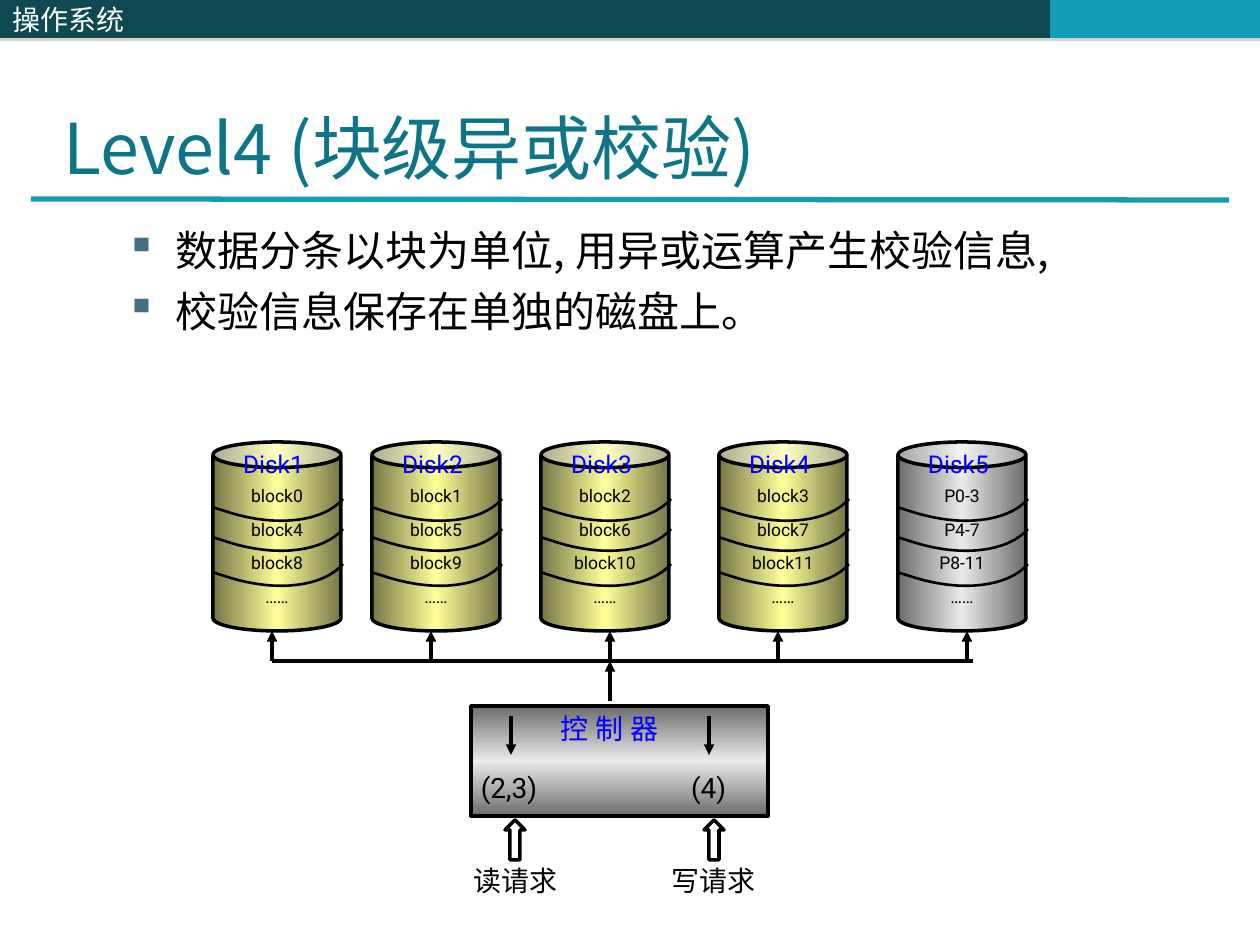
from copy import deepcopy
from dataclasses import dataclass

from lxml.etree import SubElement
from pptx import Presentation
from pptx.dml.color import RGBColor
from pptx.enum.shapes import MSO_CONNECTOR as Connector, MSO_SHAPE as Shape
from pptx.enum.text import MSO_ANCHOR as Anchor, MSO_AUTO_SIZE as AutoSize, PP_ALIGN as Align
from pptx.oxml.ns import qn
from pptx.util import Emu, Pt

EMU_PER_PX = 914400 / 126


@dataclass(frozen=True)
class Theme:
    cjk: str = "Noto Sans CJK SC"
    latin: str = "Roboto"
    dark: str = "0E4851"
    teal: str = "139CB7"
    title: str = "0E7589"
    bullet: str = "437085"
    label: str = "0000FF"
    black: str = "000000"
    white: str = "FFFFFF"
    yellow: tuple[str, ...] = ("767647", "FFFF99", "767647")
    grey: tuple[str, ...] = ("6C6C6C", "EAEAEA", "6C6C6C")
    title_size: int = 40
    body_size: int = 24
    text_size: int = 16
    disk_size: int = 14
    block_size: int = 10


@dataclass(frozen=True)
class Box:
    left: int
    top: int
    width: int
    height: int


@dataclass(frozen=True)
class Disk:
    name: str
    left: int
    arrow_x: int
    blocks: tuple[str, ...]
    colors: tuple[str, ...]


@dataclass(frozen=True)
class Request:
    label: str
    blocks: str
    text_left: int
    arrow_left: int
    inner_x: int
    align: Align


THEME = Theme()
DISK_TOP, DISK_WIDTH, DISK_HEIGHT, BUS_Y = 442, 128, 189, 661
BAND_OFFSETS = (0, 30, 65)
BAND_CURVE = ((130, 57), (110, 80), (64, 85), (18, 71))
BAND_END = (-1, 65)
CURVE_STEPS = 16
DISKS = (
    Disk("Disk1", 213, 272, ("block0", "block4", "block8"), THEME.yellow),
    Disk("Disk2", 372, 431, ("block1", "block5", "block9"), THEME.yellow),
    Disk("Disk3", 541, 610, ("block2", "block6", "block10"), THEME.yellow),
    Disk("Disk4", 719, 778, ("block3", "block7", "block11"), THEME.yellow),
    Disk("Disk5", 898, 967, ("P0-3", "P4-7", "P8-11"), THEME.grey),
)
REQUESTS = (
    Request("读请求", "(2,3)", 471, 505, 511, Align.LEFT),
    Request("写请求", "(4)", 669, 704, 709, Align.CENTER),
)


def px(value: float) -> Emu:
    return Emu(round(value * EMU_PER_PX))


def place(box: Box) -> tuple[Emu, ...]:
    return px(box.left), px(box.top), px(box.width), px(box.height)


def write(frame, text: str, *, size: int, color: str = THEME.black, font: str = THEME.latin,
          align: Align = Align.LEFT, anchor: Anchor = Anchor.TOP, margins=(0, 0, 0, 0),
          wrap: bool = True, spacing=None, gap: int = 0, bullet: str = "") -> None:
    frame.auto_size = AutoSize.NONE
    frame.word_wrap = wrap
    frame.vertical_anchor = anchor
    frame.margin_left, frame.margin_top, frame.margin_right, frame.margin_bottom = map(px, margins)
    for index, line in enumerate(text.split("\n")):
        para = frame.add_paragraph() if index else frame.paragraphs[0]
        if bullet:
            add_bullet(para, bullet)
        para.alignment = align
        para.line_spacing = spacing
        para.space_before = Pt(gap if index else 0)
        span = para.add_run()
        span.text = line
        span.font.size = Pt(size)
        span.font.name = font
        span.font.color.rgb = RGBColor.from_string(color)
        SubElement(span.font._element, qn("a:ea"), typeface=font)


def add_bullet(para, mark: str) -> None:
    properties = para._p.get_or_add_pPr()
    properties.set("marL", str(px(50)))
    properties.set("indent", str(px(-50)))
    color = SubElement(properties, qn("a:buClr"))
    SubElement(color, qn("a:srgbClr"), val=THEME.bullet)
    SubElement(properties, qn("a:buChar"), char=mark)


def add_label(page, box: Box, text: str, **style) -> None:
    write(page.shapes.add_textbox(*place(box)).text_frame, text, **style)


def add_block(page, kind: Shape, box: Box, fill: str = "", line: bool = True):
    block = page.shapes.add_shape(kind, *place(box))
    block.shadow.inherit = False
    if fill:
        block.fill.solid()
        block.fill.fore_color.rgb = RGBColor.from_string(fill)
    else:
        block.fill.background()
    if line:
        block.line.color.rgb = RGBColor.from_string(THEME.black)
        block.line.width = Pt(2)
    else:
        block.line.fill.background()
    return block


def shade(block, colors: tuple[str, ...], angle: int) -> None:
    block.fill.gradient()
    block.fill.gradient_angle = angle
    stops = block._element.spPr.find(qn("a:gradFill")).find(qn("a:gsLst"))
    stops.append(deepcopy(stops[0]))
    for index, (stop, color) in enumerate(zip(block.fill.gradient_stops, colors)):
        stop.position = index / 2
        stop.color.rgb = RGBColor.from_string(color)


def add_header_bar(page, left: int, width: int, color: str):
    bar = add_block(page, Shape.RECTANGLE, Box(left, 0, width, 38), color, line=False)
    effects = bar._element.spPr.find(qn("a:effectLst"))
    shadow = SubElement(effects, qn("a:outerShdw"), dist=str(Pt(1.8)), dir="5400000", rotWithShape="0")
    tint = SubElement(shadow, qn("a:srgbClr"), val="808080")
    SubElement(tint, qn("a:alpha"), val="35000")
    return bar


def add_line(page, start: tuple[int, int], end: tuple[int, int], *, color: str = THEME.black,
             width: int = 2, arrow: bool = False) -> None:
    line = page.shapes.add_connector(Connector.STRAIGHT, *map(px, start + end))
    line.line.color.rgb = RGBColor.from_string(color)
    line.line.width = Pt(width)
    if arrow:
        SubElement(line.line._get_or_add_ln(), qn("a:tailEnd"), type="triangle")
    SubElement(line._element.spPr, qn("a:effectLst"))


def add_band(page, left: int, top: int) -> None:
    points = []
    for step in range(CURVE_STEPS + 1):
        t = step / CURVE_STEPS
        weights = ((1 - t) ** 3, 3 * t * (1 - t) ** 2, 3 * t ** 2 * (1 - t), t ** 3)
        points.append([sum(w * p[axis] for w, p in zip(weights, BAND_CURVE)) for axis in (0, 1)])
    points.append(BAND_END)
    corners = [(px(left + x), px(top + y)) for x, y in points]
    builder = page.shapes.build_freeform(*corners[0])
    builder.add_line_segments(corners[1:], close=False)
    band = builder.convert_to_shape()
    band.shadow.inherit = False
    band.fill.background()
    band.line.color.rgb = RGBColor.from_string(THEME.black)
    band.line.width = Pt(1.5)


def add_disk(page, disk: Disk) -> None:
    can = add_block(page, Shape.CAN, Box(disk.left, DISK_TOP, DISK_WIDTH, DISK_HEIGHT))
    can.adjustments[0] = 0.2
    shade(can, disk.colors, 0)
    write(can.text_frame, "\n".join(disk.blocks + ("……",)), size=THEME.block_size, align=Align.CENTER,
          anchor=Anchor.MIDDLE, margins=(13, 0, 13, 6), wrap=False, spacing=1.6)
    add_label(page, Box(disk.left + 30, DISK_TOP + 7, 69, 29), disk.name,
              size=THEME.disk_size, color=THEME.label)
    for offset in BAND_OFFSETS:
        add_band(page, disk.left, DISK_TOP + offset)
    add_line(page, (disk.arrow_x, BUS_Y), (disk.arrow_x, DISK_TOP + DISK_HEIGHT), arrow=True)


def add_request(page, request: Request) -> None:
    add_line(page, (request.inner_x, 716), (request.inner_x, 755), arrow=True)
    add_label(page, Box(request.text_left + (10 if request.align == Align.LEFT else 0), 771, 79, 34),
              request.blocks, size=THEME.text_size, align=request.align)
    add_block(page, Shape.UP_ARROW, Box(request.arrow_left, 820, 20, 40))
    add_label(page, Box(request.text_left, 864, 89, 34), request.label,
              size=THEME.text_size, align=Align.CENTER)


def main() -> None:
    deck = Presentation()
    deck.slide_width, deck.slide_height = px(1260), px(945)
    page = deck.slides.add_slide(deck.slide_layouts[5])

    add_header_bar(page, 514, 536, THEME.dark)
    add_header_bar(page, 1050, 210, THEME.teal)
    add_line(page, (31, 199), (1229, 200), color=THEME.teal, width=3)
    write(add_header_bar(page, 0, 514, THEME.dark).text_frame, "操作系统", size=THEME.text_size,
          color=THEME.white, font=THEME.cjk, anchor=Anchor.MIDDLE, margins=(13, 6, 13, 6))

    title = page.shapes.title
    title.left, title.top, title.width, title.height = place(Box(63, 105, 1082, 84))
    write(title.text_frame, "Level4 (块级异或校验)", size=THEME.title_size, color=THEME.title,
          font=THEME.cjk, anchor=Anchor.BOTTOM, spacing=Pt(48))
    add_label(page, Box(126, 224, 973, 161),
              "数据分条以块为单位, 用异或运算产生校验信息,\n校验信息保存在单独的磁盘上。",
              size=THEME.body_size, font=THEME.cjk, spacing=Pt(29), gap=6, bullet="▪")

    for disk in DISKS:
        add_disk(page, disk)
    add_line(page, (272, BUS_Y), (973, BUS_Y))
    add_line(page, (610, 701), (610, BUS_Y), arrow=True)

    controller = add_block(page, Shape.RECTANGLE, Box(471, 706, 297, 110))
    shade(controller, THEME.grey, 90)
    add_label(page, Box(561, 712, 110, 67), "控 制 器", size=THEME.text_size, color=THEME.label)
    for request in REQUESTS:
        add_request(page, request)

    deck.save("out.pptx")


if __name__ == "__main__":
    main()
